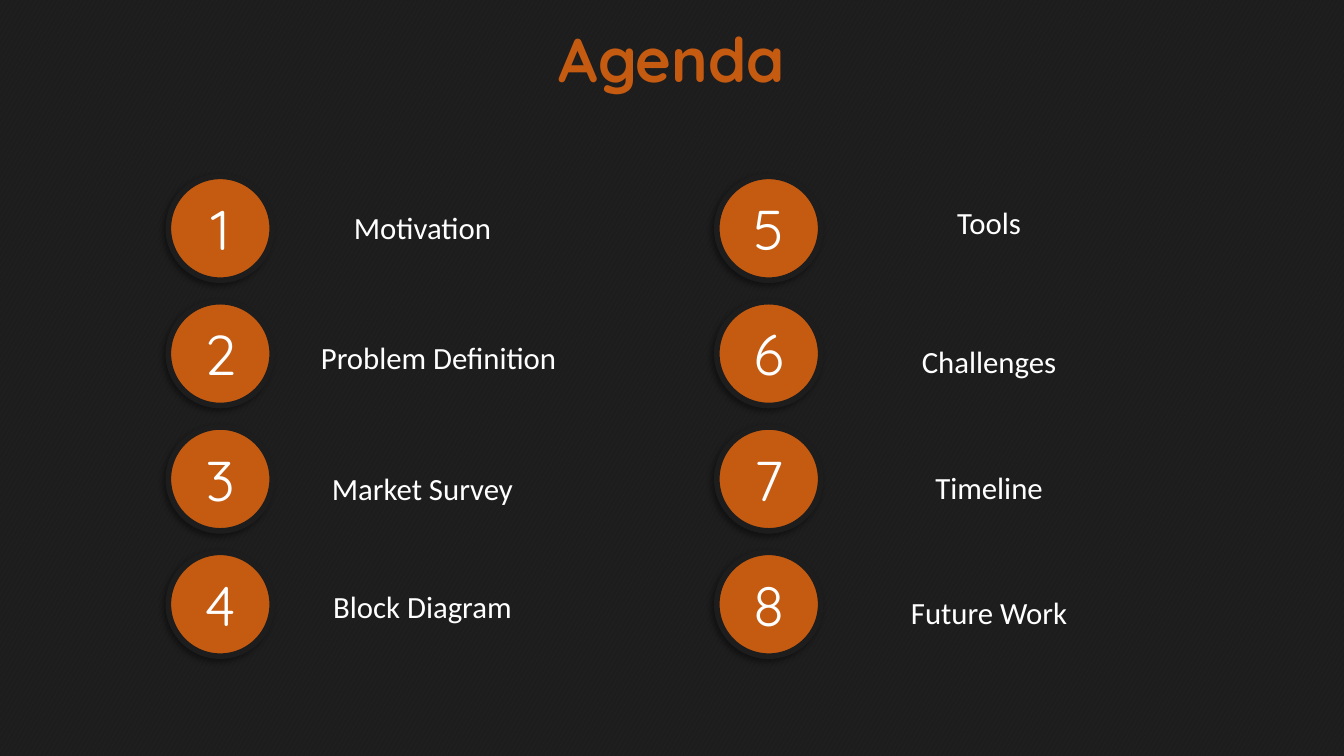
from lxml import etree
from pptx import Presentation
from pptx import util as u
from pptx.dml.color import RGBColor
from pptx.enum import dml, shapes, text
from pptx.oxml import ns

COLORS = {"base": "1D1D1E", "fleck": "262626", "accent": "C55A11", "white": "FFFFFF", "shadow": "000000"}
AGENDA = [
    (1.67, [("Motivation", 2.69, 2.02), ("Problem Definition", 2.85, 3.31),
            ("Market Survey", 2.69, 4.61), ("Block Diagram", 2.69, 5.78)]),
    (7.11, [("Tools", 8.31, 1.97), ("Challenges", 8.31, 3.35),
            ("Timeline", 8.31, 4.6), ("Future Work", 8.31, 5.84)]),
]
CIRCLE_TOP, CIRCLE_PITCH, CIRCLE_SIZE = 1.75, 3.73 / 3, 1.03


class AgendaSlide:
    """Holds the style and the current slide, and draws its elements."""

    def __init__(self, page):
        self.page = page
        self.heading_font = "Quicksand"
        self.body_font = "Calibri"

    def color(self, name):
        return RGBColor.from_string(COLORS[name])

    def background(self):
        fill = self.page.background.fill
        fill.patterned()
        fill.pattern = dml.MSO_PATTERN.LARGE_CONFETTI
        fill.fore_color.rgb = self.color("fleck")
        fill.back_color.rgb = self.color("base")

    def shadow(self, direction):
        effects = etree.Element(ns.qn("a:effectLst"))
        outer = etree.SubElement(effects, ns.qn("a:outerShdw"), blurRad=str(u.Pt(4)),
                                 dist=str(u.Pt(3)), dir=str(direction * 60000),
                                 algn="t", rotWithShape="0")
        tint = etree.SubElement(outer, ns.qn("a:srgbClr"), val=COLORS["shadow"])
        etree.SubElement(tint, ns.qn("a:alpha"), val="40000")
        return effects

    def label(self, box, words, size, font, color="white", bold=False):
        para = box.text_frame.paragraphs[0]
        para.text = words
        para.alignment = text.PP_ALIGN.CENTER
        span = para.runs[0]
        span.font.size = u.Pt(size)
        span.font.name = font
        span.font.bold = bold
        span.font.color.rgb = self.color(color)
        return para

    def text_box(self, left, top, width, height):
        box = self.page.shapes.add_textbox(*map(u.Inches, (left, top, width, height)))
        box.text_frame.word_wrap = True
        box.text_frame.auto_size = text.MSO_AUTO_SIZE.SHAPE_TO_FIT_TEXT
        return box

    def title(self, words):
        box = self.text_box(0, 0.29, 13.33, 0.67)
        frame = box.text_frame
        frame.margin_left = frame.margin_right = frame.margin_top = frame.margin_bottom = 0
        para = self.label(box, words, 44, self.heading_font, "accent", True)
        para.line_spacing = 0.9
        fill = para.runs[0].font._element.find(ns.qn("a:solidFill"))
        fill.addnext(self.shadow(90))

    def number(self, value, left, top):
        circle = self.page.shapes.add_shape(
            shapes.MSO_SHAPE.OVAL, *map(u.Inches, (left, top, CIRCLE_SIZE, CIRCLE_SIZE)))
        circle.fill.solid()
        circle.fill.fore_color.rgb = self.color("accent")
        circle.line.color.rgb = self.color("base")
        circle.line.width = u.Pt(4)
        circle._element.spPr.append(self.shadow(135))
        circle.text_frame.vertical_anchor = text.MSO_ANCHOR.MIDDLE
        self.label(circle, str(value), 40, self.heading_font)

    def topic(self, words, left, top):
        self.label(self.text_box(left, top, 3, 0.47), words, 22, self.body_font)


def main():
    deck = Presentation()
    deck.slide_width, deck.slide_height = u.Inches(13.33), u.Inches(7.5)
    slide = AgendaSlide(deck.slides.add_slide(deck.slide_layouts[6]))
    slide.background()
    slide.title("Agenda")
    for column, (circle_left, topics) in enumerate(AGENDA):
        for row, (words, left, top) in enumerate(topics):
            value = column * len(topics) + row + 1
            slide.number(value, circle_left, CIRCLE_TOP + row * CIRCLE_PITCH)
            slide.topic(words, left, top)
    deck.save("out.pptx")


if __name__ == "__main__":
    main()
